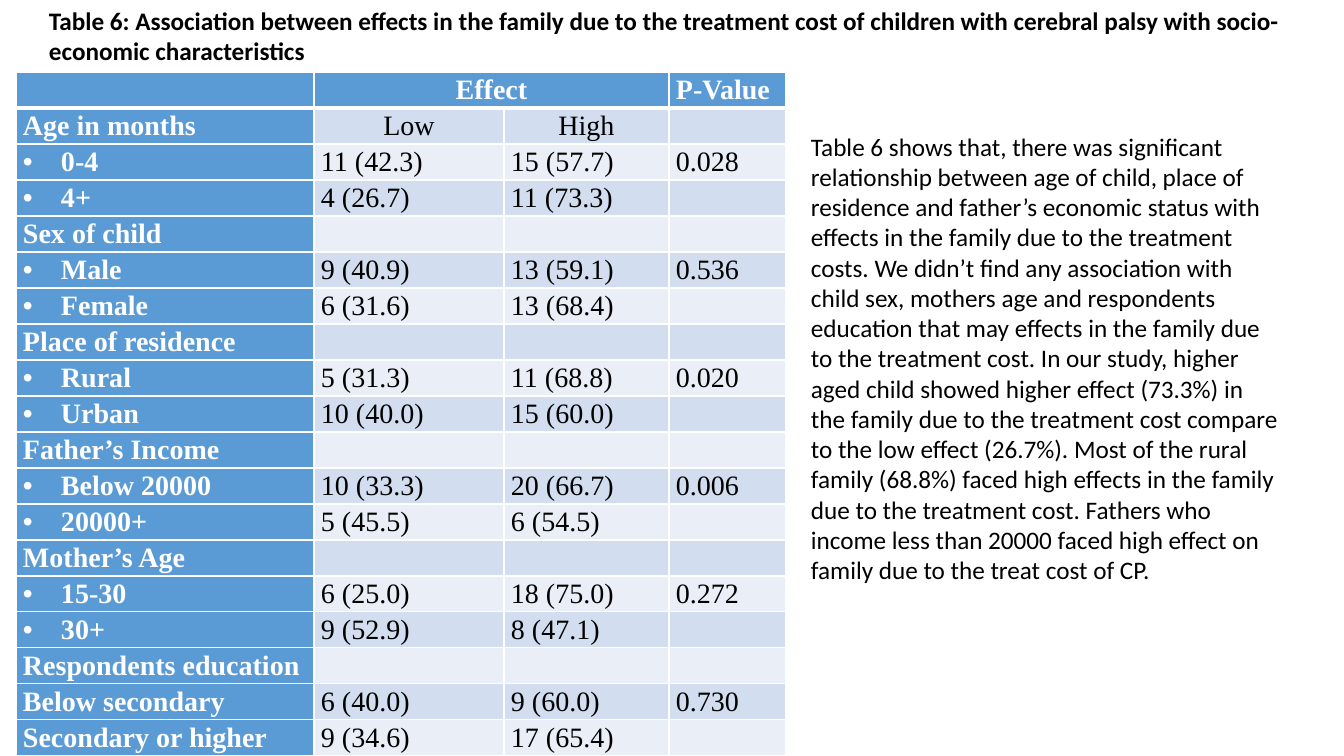
from dataclasses import dataclass

from lxml import etree
from pptx import Presentation
from pptx import util as u
from pptx.dml.color import RGBColor
from pptx.enum import text
from pptx.oxml import ns

EMU_PER_PX = 914400 / 100.8

BLACK = RGBColor(0x00, 0x00, 0x00)
WHITE = RGBColor(0xFF, 0xFF, 0xFF)
BLUE = RGBColor(0x5B, 0x9B, 0xD5)
BAND_DARK = RGBColor(0xD2, 0xDE, 0xEF)
BAND_LIGHT = RGBColor(0xEA, 0xEF, 0xF7)

COLUMN_WIDTHS = (298, 190, 165, 117)
ROW_HEIGHT = 36
CELL_MARGIN = 7
BULLET_INDENT = 38

TITLE = (
    "Table 6: Association between effects in the family due to the treatment cost "
    "of children with cerebral palsy with socio-economic characteristics"
)
DISCUSSION = (
    "Table 6 shows that, there was significant relationship between age of child, "
    "place of residence and father’s economic status with effects in the family due "
    "to the treatment costs. We didn’t find any association with child sex, mothers "
    "age and respondents education that may effects in the family due to the "
    "treatment cost. In our study, higher aged child showed higher effect (73.3%) in "
    "the family due to the treatment cost compare to the low effect (26.7%). Most of "
    "the rural family (68.8%) faced high effects in the family due to the treatment "
    "cost. Fathers who income less than 20000 faced high effect on family due to the "
    "treat cost of CP."
)


@dataclass
class Row:
    label: str
    low: str = ""
    high: str = ""
    p_value: str = ""
    bullet: bool = False
    centered: bool = False


ROWS = [
    Row("", "Effect", "", "P-Value", centered=True),
    Row("Age in months", "Low", "High", centered=True),
    Row("0-4", "11 (42.3)", "15 (57.7)", "0.028", bullet=True),
    Row("4+", "4 (26.7)", "11 (73.3)", bullet=True),
    Row("Sex of child"),
    Row("Male", "9 (40.9)", "13 (59.1)", "0.536", bullet=True),
    Row("Female", "6 (31.6)", "13 (68.4)", bullet=True),
    Row("Place of residence"),
    Row("Rural", "5 (31.3)", "11 (68.8)", "0.020", bullet=True),
    Row("Urban", "10 (40.0)", "15 (60.0)", bullet=True),
    Row("Father’s Income"),
    Row("Below 20000", "10 (33.3)", "20 (66.7)", "0.006", bullet=True),
    Row("20000+", "5 (45.5)", "6 (54.5)", bullet=True),
    Row("Mother’s Age"),
    Row("15-30", "6 (25.0)", "18 (75.0)", "0.272", bullet=True),
    Row("30+", "9 (52.9)", "8 (47.1)", bullet=True),
    Row("Respondents education"),
    Row("Below secondary", "6 (40.0)", "9 (60.0)", "0.730"),
    Row("Secondary or higher", "9 (34.6)", "17 (65.4)"),
]


def px(length: int) -> u.Emu:
    return u.Emu(round(length * EMU_PER_PX))


def add_run(paragraph, words: str, font_name: str, size: int,
            color: RGBColor, bold: bool) -> None:
    run = paragraph.add_run()
    run.text = words
    run.font.name = font_name
    run.font.size = u.Pt(size)
    run.font.color.rgb = color
    run.font.bold = bold


def add_text_box(slide, left: int, top: int, width: int, height: int,
                 words: str, bold: bool = False) -> None:
    box = slide.shapes.add_textbox(px(left), px(top), px(width), px(height))
    box.text_frame.word_wrap = True
    add_run(box.text_frame.paragraphs[0], words, "Calibri", 18, BLACK, bold)


def set_borders(cell, top: int, bottom: int) -> None:
    """Give the cell white borders; top and bottom are widths in points."""
    properties = cell._tc.get_or_add_tcPr()
    for side, width in (("L", 1), ("R", 1), ("T", top), ("B", bottom)):
        line = etree.SubElement(properties, ns.qn(f"a:ln{side}"), w=str(u.Pt(width)))
        fill = etree.SubElement(line, ns.qn("a:solidFill"))
        etree.SubElement(fill, ns.qn("a:srgbClr"), val=str(WHITE))


def add_bullet(paragraph) -> None:
    properties = paragraph._p.get_or_add_pPr()
    properties.set("marL", str(px(BULLET_INDENT)))
    properties.set("indent", str(-px(BULLET_INDENT)))
    etree.SubElement(properties, ns.qn("a:buFont"), typeface="Arial")
    etree.SubElement(properties, ns.qn("a:buChar"), char="•")


def fill_cell(cell, words: str, row_index: int, column_index: int) -> None:
    row = ROWS[row_index]
    is_heading = row_index == 0 or column_index == 0
    cell.margin_left = cell.margin_right = px(CELL_MARGIN)
    cell.margin_top = cell.margin_bottom = 0
    set_borders(cell, top=3 if row_index == 1 else 1, bottom=3 if row_index == 0 else 1)
    cell.fill.solid()
    band = BAND_DARK if row_index % 2 else BAND_LIGHT
    cell.fill.fore_color.rgb = BLUE if is_heading else band
    if not words:
        return
    paragraph = cell.text_frame.paragraphs[0]
    paragraph.line_spacing = 1.07
    is_centered = row.centered and column_index in (1, 2)
    paragraph.alignment = text.PP_ALIGN.CENTER if is_centered else text.PP_ALIGN.JUSTIFY
    if row.bullet and column_index == 0:
        add_bullet(paragraph)
    add_run(paragraph, words, "Times New Roman", 20,
            WHITE if is_heading else BLACK, is_heading)


def add_effect_table(slide, left: int, top: int) -> None:
    frame = slide.shapes.add_table(
        len(ROWS), len(COLUMN_WIDTHS), px(left), px(top),
        px(sum(COLUMN_WIDTHS)), px(ROW_HEIGHT * len(ROWS)))
    table = frame.table
    table.first_col = True
    for column, width in zip(table.columns, COLUMN_WIDTHS):
        column.width = px(width)
    for row_index, row in enumerate(ROWS):
        table.rows[row_index].height = px(ROW_HEIGHT)
        for column_index, words in enumerate((row.label, row.low, row.high, row.p_value)):
            fill_cell(table.cell(row_index, column_index), words, row_index, column_index)
    table.cell(0, 1).merge(table.cell(0, 2))


def main() -> None:
    presentation = Presentation()
    presentation.slide_width = px(1344)
    presentation.slide_height = px(756)
    slide = presentation.slides.add_slide(presentation.slide_layouts[6])
    add_text_box(slide, 39, 0, 1294, 72, TITLE, bold=True)
    add_effect_table(slide, 16, 72)
    add_text_box(slide, 801, 126, 490, 468, DISCUSSION)
    presentation.save("out.pptx")


if __name__ == "__main__":
    main()
